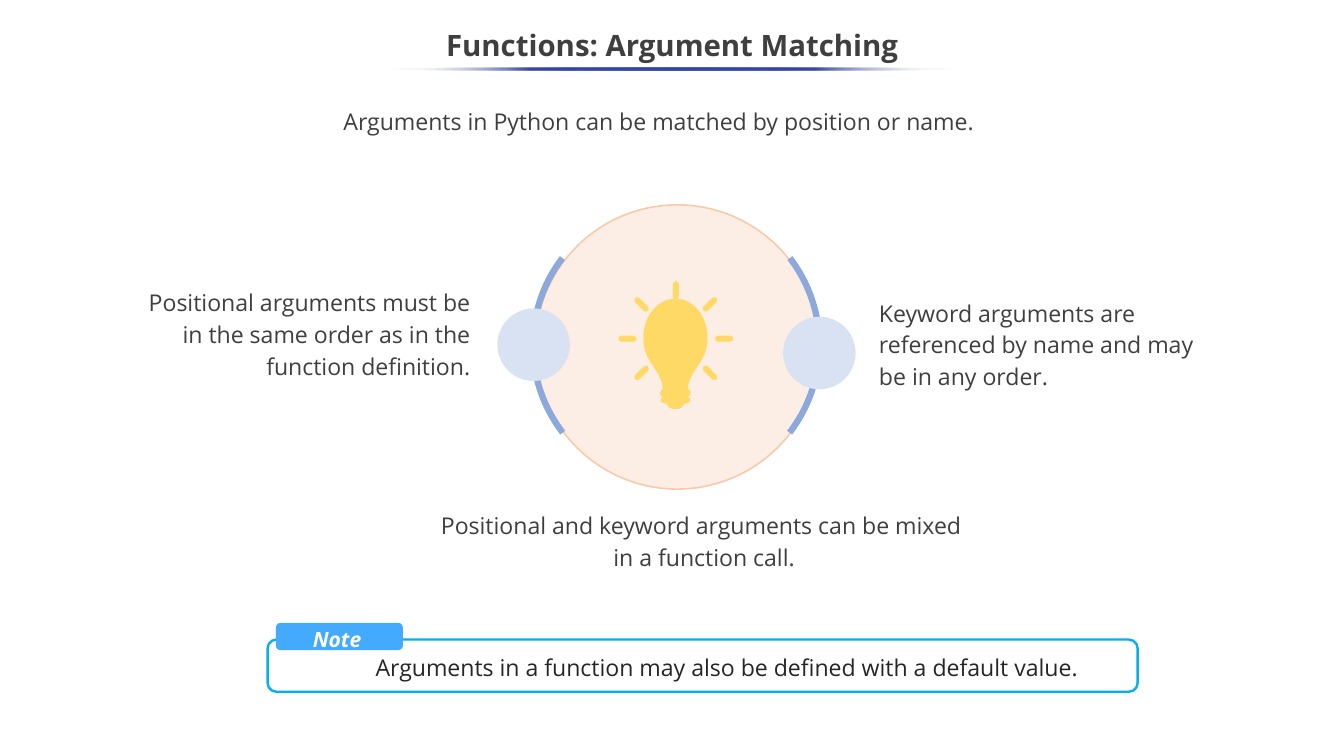
from math import cos, pi, radians, sin

from lxml.etree import SubElement
from pptx import Presentation
from pptx.dml.color import RGBColor
from pptx.enum.shapes import MSO_SHAPE
from pptx.enum.text import MSO_ANCHOR, PP_ALIGN
from pptx.oxml.ns import qn
from pptx.util import Inches, Pt

deck = Presentation()
deck.slide_width, deck.slide_height = Inches(17.78), Inches(10)
slide = deck.slides.add_slide(deck.slide_layouts[6])
shapes = slide.shapes
color = RGBColor.from_string

GREY, YELLOW, INDIGO = "3F3F3F", "FFD966", "3645A9"
BODY = {"name": "Open Sans", "size": Pt(22), "bold": False, "italic": False}
TITLE = {**BODY, "size": Pt(28), "bold": True}
NOTE = {**BODY, "size": Pt(20), "bold": True, "italic": True}


def style(part, fill=None, line=None, weight=0):
    part.shadow.inherit = False
    if fill:
        part.fill.solid()
        part.fill.fore_color.rgb = color(fill)
    else:
        part.fill.background()
    if line:
        part.line.color.rgb = color(line)
        part.line.width = Pt(weight)
    else:
        part.line.fill.background()


def draw_curves(controls):
    points = [(Inches(x), Inches(y)) for x, y in controls]
    builder = shapes.build_freeform(*points[0], scale=1.0)
    builder.add_line_segments(points[1:], close=False)
    outline = builder.convert_to_shape()
    route = outline._element.find(".//" + qn("a:path"))
    segments = route.findall(qn("a:lnTo"))
    for first in range(0, len(segments), 3):
        curve = SubElement(route, qn("a:cubicBezTo"))
        for segment in segments[first:first + 3]:
            curve.append(segment[0])
            route.remove(segment)
    SubElement(route, qn("a:close"))
    style(outline, YELLOW)


hub = shapes.add_shape(MSO_SHAPE.OVAL, Inches(7.08), Inches(2.71), Inches(3.76), Inches(3.76))
style(hub, "FCEEE4", "F7CAAC", 1.5)

for side, dot_left, dot_top in [("left", 6.58, 4.08), ("right", 10.36, 4.19)]:
    arc = shapes.add_shape(MSO_SHAPE.ARC, Inches(7.05), Inches(2.67), Inches(3.79), Inches(3.79))
    arc.adjustments[0], arc.adjustments[1] = 193.54, 22.59
    style(arc, line="8DA9DB", weight=6)
    if side == "left":
        arc._element.spPr.xfrm.set("flipH", "1")
    dot = shapes.add_shape(
        MSO_SHAPE.OVAL, Inches(dot_left), Inches(dot_top), Inches(0.96), Inches(0.96))
    style(dot, "D8E2F3")

socket = [
    (9.13, 5.3), (9.13, 5.32), (9.11, 5.33), (9.09, 5.33),
    (9.07, 5.33), (9.05, 5.34), (9.04, 5.36),
    (9.02, 5.39), (8.99, 5.41), (8.97, 5.41),
    (8.91, 5.41), (8.91, 5.41), (8.91, 5.41),
    (8.87, 5.41), (8.84, 5.39), (8.83, 5.36),
    (8.82, 5.34), (8.8, 5.33), (8.78, 5.33),
    (8.76, 5.33), (8.74, 5.32), (8.74, 5.3),
    (8.73, 5.27), (8.75, 5.25), (8.78, 5.25),
    (9.09, 5.25), (9.09, 5.25), (9.09, 5.25),
    (9.12, 5.25), (9.15, 5.27), (9.13, 5.3),
]
glass = [
    (9.13, 5.2), (9.13, 5.23), (9.12, 5.25), (9.09, 5.25),
    (8.77, 5.25), (8.77, 5.25), (8.77, 5.25),
    (8.75, 5.25), (8.73, 5.23), (8.73, 5.2),
    (8.73, 5.18), (8.75, 5.16), (8.77, 5.15),
    (8.75, 4.87), (8.51, 4.81), (8.51, 4.47),
    (8.51, 4.18), (8.7, 3.95), (8.94, 3.95),
    (9.17, 3.95), (9.36, 4.18), (9.36, 4.47),
    (9.36, 4.81), (9.12, 4.87), (9.1, 5.15),
    (9.12, 5.16), (9.13, 5.18), (9.13, 5.2),
]
draw_curves(socket)

bulb_x, bulb_y, ray_distance = 8.94, 4.48, 0.64
capsules = []
for degrees in (135, 180, 270, 315, 225, 0, 45):
    turn = radians(degrees)
    capsules.append((bulb_x + ray_distance * cos(turn),
                     bulb_y + ray_distance * sin(turn), 0.24, turn))
capsules.append((bulb_x, 5.19, 0.4, 0))

radius, handle = 0.04, 0.02
for x, y, length, turn in capsules:
    tip, shoulder = length / 2, length / 2 - radius
    half = [(shoulder, -radius), (shoulder + handle, -radius), (tip, -handle), (tip, 0),
            (tip, handle), (shoulder + handle, radius), (shoulder, radius)]
    opposite = [(-along, -across) for along, across in half]
    rim = half + opposite[:1] * 3 + opposite[1:] + half[:1] * 3
    draw_curves([(x + along * cos(turn) - across * sin(turn),
                  y + along * sin(turn) + across * cos(turn)) for along, across in rim])

draw_curves(glass)

note_frame = shapes.add_shape(
    MSO_SHAPE.ROUNDED_RECTANGLE, Inches(3.54), Inches(8.46), Inches(11.51), Inches(0.69))
style(note_frame, line="00B0F0", weight=2.25)
note_tab = shapes.add_shape(
    MSO_SHAPE.ROUNDED_RECTANGLE, Inches(3.65), Inches(8.24), Inches(1.68), Inches(0.36))
style(note_tab, "44AAFE")

underline = shapes.add_shape(
    MSO_SHAPE.OVAL, Inches(5.15), Inches(0.89), Inches(7.48), Inches(0.04))
style(underline)
underline.fill.gradient()
underline.fill.gradient_angle = 180
stops = underline._element.spPr.find(".//" + qn("a:gsLst"))
stops.clear()
for percent, shade in [(0, "FFFFFF"), (25, INDIGO), (50, INDIGO), (75, INDIGO), (100, "FFFFFF")]:
    stop = SubElement(stops, qn("a:gs"), pos=str(percent * 1000))
    tint = SubElement(stop, qn("a:srgbClr"), val=shade)
    if shade == "FFFFFF":
        SubElement(tint, qn("a:alpha"), val="0")

LEFT, CENTER, RIGHT = PP_ALIGN.LEFT, PP_ALIGN.CENTER, PP_ALIGN.RIGHT
TOP, MIDDLE = MSO_ANCHOR.TOP, MSO_ANCHOR.MIDDLE
statements = [
    ("Functions: Argument Matching", (-0.01, 0.25, 17.8, 0.75), CENTER, 0.9, MIDDLE, TITLE, GREY),
    ("Arguments in Python can be matched by position or name.",
     (3.65, 1.37, 10.13, 0.47), CENTER, None, TOP, BODY, GREY),
    ("Keyword arguments are referenced by name and may be in any order.",
     (11.53, 3.85, 4.41, 1.78), LEFT, 1.15, TOP, BODY, GREY),
    ("Positional arguments must be in the same order as in the function definition.",
     (1.86, 3.71, 4.46, 1.38), RIGHT, 1.15, TOP, BODY, GREY),
    ("Positional and keyword arguments can be mixed \vin a function call.",
     (5.54, 6.66, 7.55, 0.92), CENTER, 1.15, TOP, BODY, GREY),
    ("Arguments in a function may also be defined with a default value.",
     (4.04, 8.6, 11.15, 0.35), CENTER, None, TOP, BODY, "262626"),
    ("Note", (4.04, 8.24, 1.2, 0.2), LEFT, None, TOP, NOTE, "FFFFFF"),
]
for wording, place, alignment, spacing, anchor, font_format, ink in statements:
    frame = shapes.add_textbox(*map(Inches, place)).text_frame
    frame.word_wrap = True
    frame.vertical_anchor = anchor
    paragraph = frame.paragraphs[0]
    paragraph.text = wording
    paragraph.alignment = alignment
    paragraph.line_spacing = spacing
    for run in paragraph.runs:
        for attribute, value in font_format.items():
            setattr(run.font, attribute, value)
        run.font.color.rgb = color(ink)

deck.save("out.pptx")
